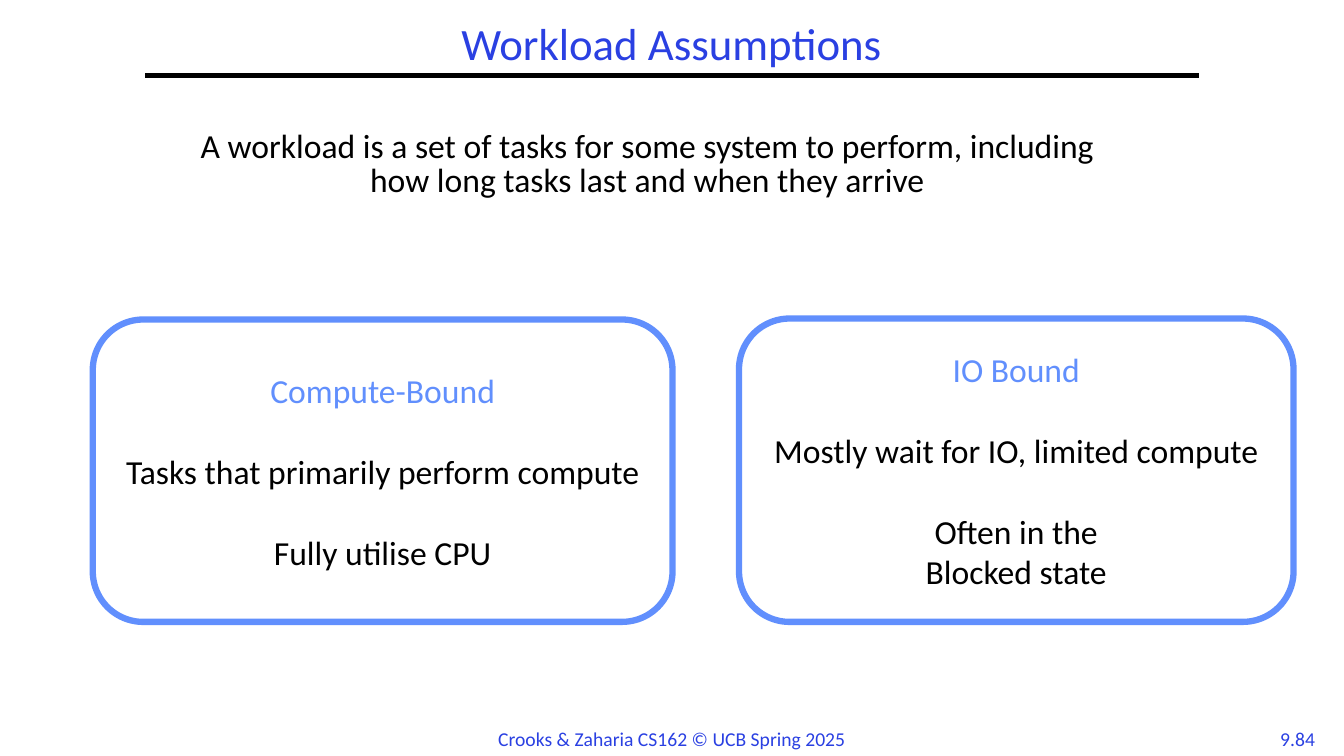
from lxml.etree import SubElement
from pptx import Presentation
from pptx.dml.color import RGBColor
from pptx.enum.shapes import MSO_CONNECTOR, MSO_SHAPE
from pptx.enum.text import MSO_ANCHOR, PP_ALIGN
from pptx.oxml.ns import qn
from pptx.util import Pt

PX = 9144  # EMU per px, 100 px to the inch
FONT = "Calibri"
BLUE = RGBColor(0x2A, 0x40, 0xE2)
LIGHT_BLUE = RGBColor(0x61, 0x8F, 0xFD)
BLACK = RGBColor(0, 0, 0)
WHITE = RGBColor(255, 255, 255)


def px(*lengths):
    return [length * PX for length in lengths]


def write(paragraph, text, size, color):
    paragraph.alignment = PP_ALIGN.CENTER
    run = paragraph.add_run()
    run.text = text
    run.font.name = FONT
    run.font.size = Pt(size)
    run.font.color.rgb = color


presentation = Presentation()
presentation.slide_width, presentation.slide_height = px(1333, 750)
slide = presentation.slides.add_slide(presentation.slide_layouts[5])

# Title
title = slide.shapes.title
title.left, title.top, title.width, title.height = px(144, 17, 1044, 58)
title.text_frame.vertical_anchor = MSO_ANCHOR.MIDDLE
title_paragraph = title.text_frame.paragraphs[0]
title_paragraph.line_spacing = 0.9
write(title_paragraph, "Workload Assumptions", 32, BLUE)

# Rule under the title
rule = slide.shapes.add_connector(MSO_CONNECTOR.STRAIGHT, *px(144, 75, 1189, 75))
rule.line.color.rgb = BLACK
rule.line.width = Pt(3)
SubElement(rule._element.spPr, qn("a:effectLst"))

# Footer and slide number
for text, box in [
    ("Crooks & Zaharia CS162 © UCB Spring 2025", (483, 716, 367, 34)),
    ("9.84", (1258, 716, 58, 34)),
]:
    footer = slide.shapes.add_textbox(*px(*box))
    footer.text_frame.word_wrap = False
    write(footer.text_frame.paragraphs[0], text, 14, BLUE)

# Definition
definition = slide.shapes.add_textbox(*px(167, 125, 950, 558))
definition.text_frame.word_wrap = True
definition_paragraph = definition.text_frame.paragraphs[0]
definition_paragraph.line_spacing = 0.85
write(
    definition_paragraph,
    "A workload is a set of tasks for some system to perform, "
    "including how long tasks last and when they arrive",
    24,
    BLACK,
)

# Workload cards: each group of lines is set apart by one line height
cards = [
    ((92, 317, 575, 300), "Compute-Bound",
     [["Tasks that primarily perform compute"], ["Fully utilise CPU"]]),
    ((733, 316, 550, 301), "IO Bound",
     [["Mostly wait for IO, limited compute"], ["Often in the", "Blocked state"]]),
]
for box, heading, groups in cards:
    card = slide.shapes.add_shape(MSO_SHAPE.ROUNDED_RECTANGLE, *px(*box))
    card.shadow.inherit = False
    card.fill.solid()
    card.fill.fore_color.rgb = WHITE
    card.line.color.rgb = LIGHT_BLUE
    card.line.width = Pt(4.5)
    frame = card.text_frame
    frame.word_wrap = True
    frame.vertical_anchor = MSO_ANCHOR.MIDDLE
    write(frame.paragraphs[0], heading, 24, LIGHT_BLUE)
    for group in groups:
        for index, text in enumerate(group):
            paragraph = frame.add_paragraph()
            paragraph.space_before = Pt(0 if index else 29)
            write(paragraph, text, 24, BLACK)

presentation.save("out.pptx")
